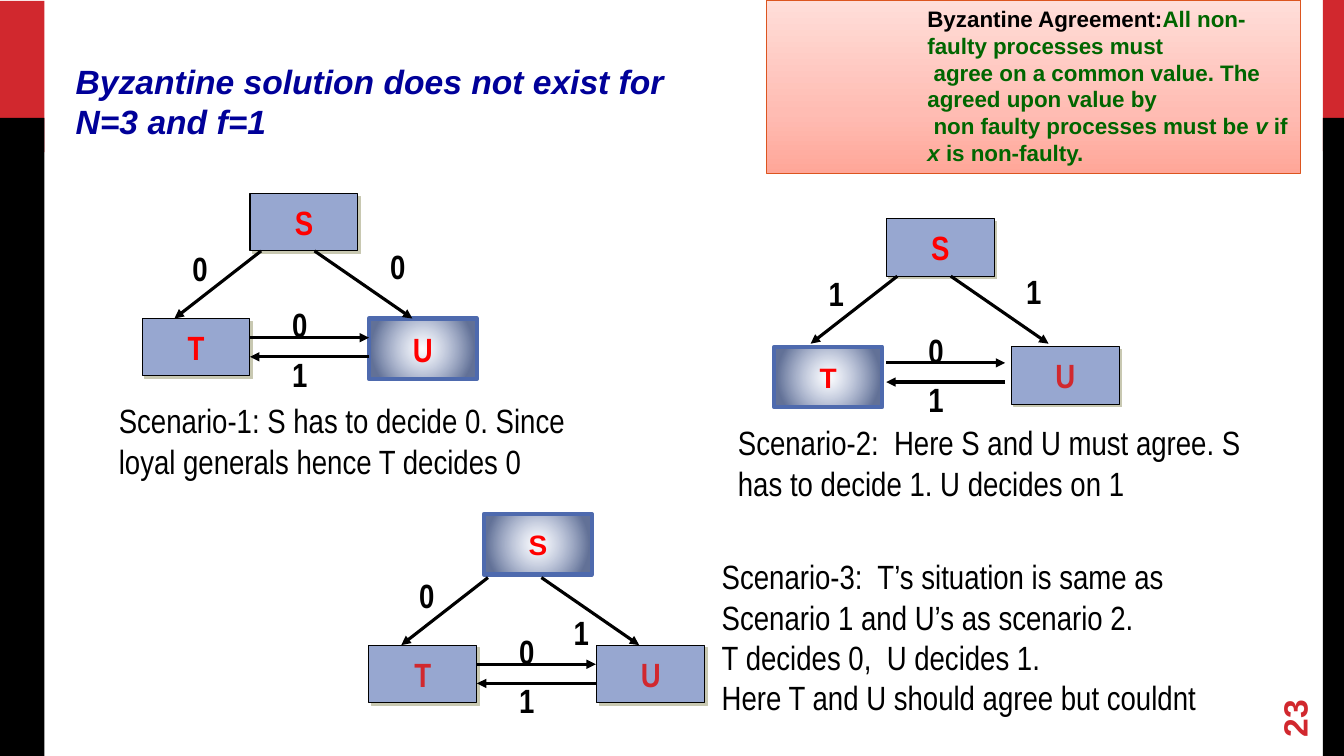
import pptx
import pptx.util
import pptx.dml.color
import pptx.enum.shapes
import pptx.enum.text
import pptx.oxml
import pptx.oxml.ns
import lxml.etree
from dataclasses import dataclass

Inches = pptx.util.Inches
Pt = pptx.util.Pt
qn = pptx.oxml.ns.qn
Shape = pptx.enum.shapes.MSO_SHAPE
Align = pptx.enum.text.PP_ALIGN
Anchor = pptx.enum.text.MSO_ANCHOR
Fit = pptx.enum.text.MSO_AUTO_SIZE


@dataclass(frozen=True)
class Theme:
    """Colours, fonts and type sizes of the slide."""
    red: str = "D1282E"
    bright: str = "FF0000"
    black: str = "000000"
    navy: str = "000099"
    green: str = "006600"
    node: str = "97A7D0"
    shade: str = "C8C8B1"
    rim: str = "4E6AAE"
    edge: str = "DC551F"
    glow: tuple = ((0, "7389BF", 0), (82, "394C7C", 78))
    blush: tuple = ((0, "FFA698", 100), (35, "FFBCB3", 100), (100, "FFDED9", 100))
    sans: str = "Arial"
    slim: str = "Arial Narrow"
    big: int = 24
    mid: int = 20
    small: int = 16


LOOK = Theme()
BODY = {"name": LOOK.slim, "size": Pt(LOOK.big), "color": LOOK.black}
BOLD = BODY | {"bold": True}
BRIGHT = BOLD | {"color": LOOK.bright}
DEEP = BOLD | {"color": LOOK.red}
WIDE = BRIGHT | {"name": LOOK.sans, "size": Pt(LOOK.mid)}
HEAD = BOLD | {"name": LOOK.sans, "color": LOOK.navy, "italic": True}
PAGE = DEEP | {"name": LOOK.sans}
TERM = BOLD | {"name": LOOK.sans, "size": Pt(LOOK.small)}
RULE = TERM | {"color": LOOK.green}
SIGN = RULE | {"italic": True}

PLAIN, FAULTY = False, True
TRIOS = [
    {"at": (1.41, 3.16), "right": (2.36, -0.77), "votes": "00",
     "nodes": [("S", 1.07, -1.24, PLAIN, BRIGHT), ("T", 0, 0, PLAIN, BRIGHT),
               ("U", 2.25, 0, FAULTY, BRIGHT)]},
    {"at": (7.72, 3.41), "right": (2.36, -0.77), "votes": "11",
     "nodes": [("S", 1.07, -1.24, PLAIN, BRIGHT), ("T", -0.04, 0.03, FAULTY, WIDE),
               ("U", 2.31, 0.03, PLAIN, DEEP)]},
    {"at": (3.66, 6.4), "right": (1.93, -0.38), "votes": "01",
     "nodes": [("S", 1.14, -1.3, FAULTY, WIDE), ("T", 0, 0, PLAIN, DEEP),
               ("U", 2.26, 0, PLAIN, DEEP)]},
]
PATHS = [(1.18, -0.67, 0.32, 0), (1.71, -0.67, 2.68, 0),
         (1.07, 0.19, 2.25, 0.19), (2.25, 0.38, 1.07, 0.38)]
NOTES = [
    ((1.08, 3.92, 4.68, 0.91),
     ["Scenario-1: S has to decide 0. Since\nloyal generals hence T decides 0"]),
    ((7.22, 4.14, 5.22, 0.91),
     ["Scenario-2:  Here S and U must agree. S has to decide 1. U decides on 1"]),
    ((7.06, 5.47, 5.22, 1.72),
     ["Scenario-3:  T’s situation is same as Scenario 1 and U’s as scenario 2.\n"
      "T decides 0,  U decides 1.", "Here T and U should agree but couldnt"]),
]
CLAIM = [
    [("Byzantine Agreement:", TERM), ("All non-faulty processes must", RULE)],
    [(" agree on a common value. The agreed upon value by", RULE)],
    [(" non faulty processes must be ", RULE), ("v", SIGN), (" if ", RULE),
     ("x", SIGN), (" is non-faulty.", RULE)],
]
BARS = [((13.12, 0, 0.21, 1.5), LOOK.red), ((13.12, 1.17, 0.21, 6.33), LOOK.black),
        ((0, 0.01, 0.44, 1.5), LOOK.red), ((0, 1.17, 0.44, 6.33), LOOK.black)]


def tint(code):
    """Turn a hex code into a colour."""
    return pptx.dml.color.RGBColor.from_string(code)


def span(at):
    """Turn numbers into lengths."""
    return [Inches(n) for n in at]


def apply(item, form):
    """Set each named value on an item."""
    for key, value in form.items():
        if key == "color":
            item.color.rgb = tint(value)
        else:
            setattr(item, key, value)


def write(frame, paras, align=Align.LEFT, **form):
    """Fill a text frame with paragraphs of formatted runs."""
    apply(frame, {"word_wrap": True, "auto_size": Fit.NONE} | form)
    for i, runs in enumerate(paras):
        para = frame.paragraphs[0] if i == 0 else frame.add_paragraph()
        para.alignment = align
        for text, font in runs:
            for j, line in enumerate(text.split("\n")):
                if j:
                    para.add_line_break()
                run = para.add_run()
                run.text = line
                apply(run.font, font)


def label(slide, at, paras, **form):
    """Add a text box."""
    box = slide.shapes.add_textbox(*span(at))
    write(box.text_frame, paras, **form)
    return box


def block(slide, at, fill, line=None, width=0):
    """Add a flat rectangle."""
    rect = slide.shapes.add_shape(Shape.RECTANGLE, *span(at))
    rect.shadow.inherit = False
    rect.fill.solid()
    rect.fill.fore_color.rgb = tint(fill)
    if line:
        apply(rect.line, {"color": line, "width": Pt(width)})
    else:
        rect.line.fill.background()
    return rect


def blend(rect, stops, shape):
    """Swap a solid fill for a gradient."""
    marks = "".join(
        f'<a:gs pos="{pos * 1000}"><a:srgbClr val="{code}">'
        f'<a:alpha val="{alpha * 1000}"/></a:srgbClr></a:gs>'
        for pos, code, alpha in stops)
    grad = pptx.oxml.parse_xml(
        f'<a:gradFill {pptx.oxml.ns.nsdecls("a")} rotWithShape="1">'
        f'<a:gsLst>{marks}</a:gsLst>{shape}</a:gradFill>')
    props = rect._element.spPr
    props.replace(props.find(qn("a:solidFill")), grad)


def node(slide, x, y, name, faulty, font):
    """Add a general, glowing if faulty."""
    if faulty:
        rect = block(slide, (x, y, 1.07, 0.6), LOOK.node, LOOK.rim, 3)
        blend(rect, LOOK.glow, '<a:path path="circle"><a:fillToRect l="50000" '
              't="50000" r="50000" b="50000"/></a:path>')
    else:
        rect = block(slide, (x, y, 1.07, 0.57), LOOK.node, LOOK.black, 0.75)
        cast = lxml.etree.SubElement(
            rect._element.spPr.find(qn("a:effectLst")), qn("a:outerShdw"),
            dist=str(Pt(2.8)), dir="2700000", algn="ctr", rotWithShape="0")
        lxml.etree.SubElement(cast, qn("a:srgbClr"), val=LOOK.shade)
    write(rect.text_frame, [[(name, font)]], Align.CENTER,
          word_wrap=False, vertical_anchor=Anchor.MIDDLE)


def arrow(slide, ends):
    """Add a line with an arrowhead at its end."""
    kind = pptx.enum.shapes.MSO_CONNECTOR.STRAIGHT
    link = slide.shapes.add_connector(kind, *span(ends))
    apply(link.line, {"color": LOOK.black, "width": Pt(2.25)})
    lxml.etree.SubElement(link.line._get_or_add_ln(), qn("a:tailEnd"), type="triangle")
    lxml.etree.SubElement(link._element.spPr, qn("a:effectLst"))


def trio(slide, at, right, votes, nodes):
    """Draw three generals, their messages and votes."""
    x, y = at
    for name, dx, dy, faulty, font in nodes:
        node(slide, x + dx, y + dy, name, faulty, font)
    for x1, y1, x2, y2 in PATHS:
        arrow(slide, (x + x1, y + y1, x + x2, y + y2))
    spots = [(0.4, -0.75), right, (1.39, -0.19), (1.39, 0.3)]
    for vote, (dx, dy) in zip(votes + "01", spots):
        label(slide, (x + dx, y + dy, 0.36, 0.5), [[(vote, BOLD)]], word_wrap=False)


def claim(slide):
    """Add the callout that states the agreement."""
    rect = block(slide, (7.6, 0, 5.3, 1.72), LOOK.blush[0][1], LOOK.edge, 1)
    blend(rect, LOOK.blush, '<a:lin ang="16200000" scaled="0"/>')
    write(rect.text_frame, CLAIM, vertical_anchor=Anchor.TOP)
    for para in rect.text_frame.paragraphs:
        para.level = 3
        apply_in = para._p.get_or_add_pPr()
        apply_in.set("marL", str(Inches(1.5)))
        apply_in.set("indent", "0")


def main():
    """Build and save the slide."""
    deck = pptx.Presentation()
    apply(deck, {"slide_width": Inches(13.33), "slide_height": Inches(7.5)})
    slide = deck.slides.add_slide(deck.slide_layouts[5])
    for at, fill in BARS:
        block(slide, at, fill)
    title = slide.shapes.title
    apply(title, dict(zip(("left", "top", "width", "height"), span((0.65, 0.55, 6.64, 0.91)))))
    write(title.text_frame, [[("Byzantine solution does not exist for\nN=3 and f=1", HEAD)]],
          vertical_anchor=Anchor.TOP)
    page = label(slide, (12.45, 6.86, 0.77, 0.33), [[("23", PAGE)]],
                 vertical_anchor=Anchor.MIDDLE)
    page.rotation = 270
    for group in TRIOS:
        trio(slide, **group)
    for at, paras in NOTES:
        label(slide, at, [[(text, BODY)] for text in paras])
    claim(slide)
    deck.save("out.pptx")


if __name__ == "__main__":
    main()
